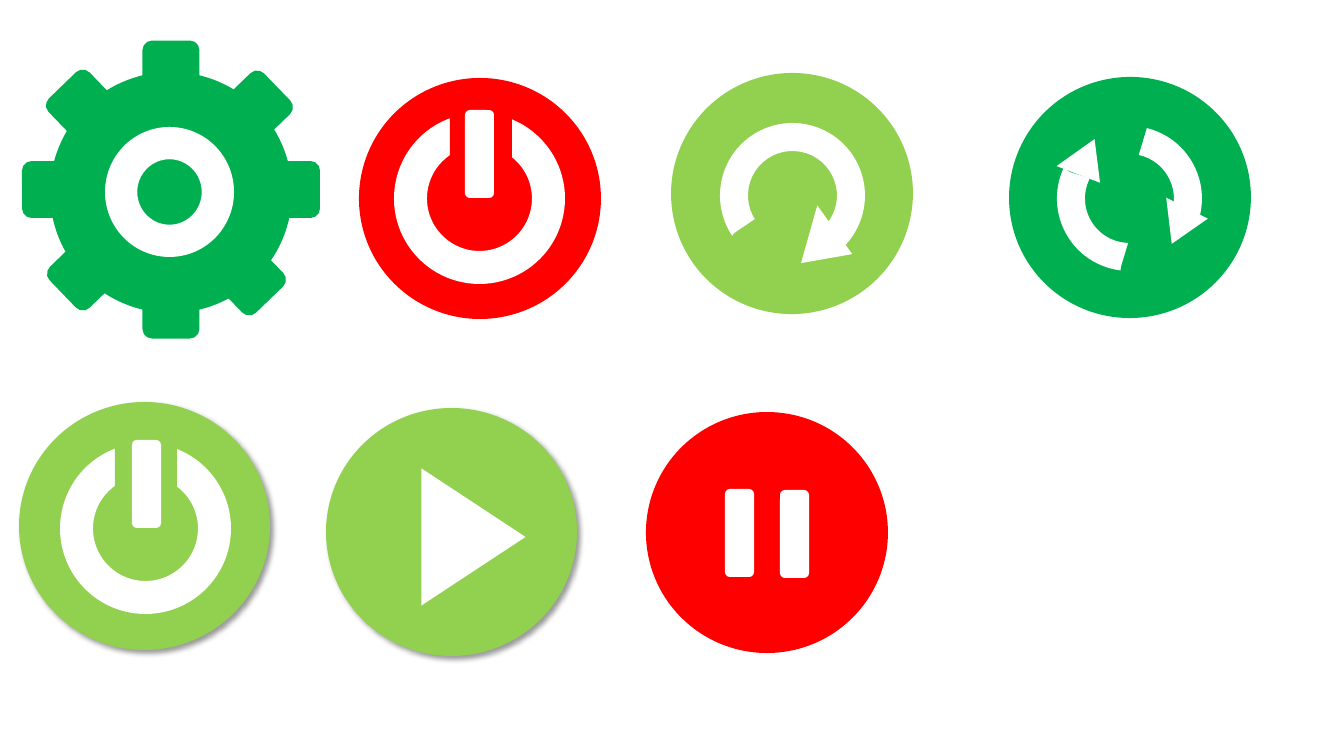
from lxml.etree import SubElement
from pptx import Presentation
from pptx.dml.color import RGBColor
from pptx.enum.shapes import MSO_SHAPE
from pptx.oxml.ns import qn
from pptx.util import Emu, Inches, Pt

SCALE = Inches(1) / 100.8
COLORS = {"green": "00B050", "lime": "92D050", "red": "FF0000",
          "white": "FFFFFF", "shadow": "000000"}
DISC, RING = MSO_SHAPE.OVAL, MSO_SHAPE.DONUT
BAR, ARROW = MSO_SHAPE.ROUNDED_RECTANGLE, MSO_SHAPE.FLOWCHART_EXTRACT
RING_WIDTH = 0.193

deck = Presentation()
deck.slide_width, deck.slide_height = Emu(round(1344 * SCALE)), Emu(round(756 * SCALE))
slide = deck.slides.add_slide(deck.slide_layouts[6])


def add_part(kind, color, left, top, width, height, turn=0, ring=None):
    box = [Emu(round(n * SCALE)) for n in (left, top, width, height)]
    part = slide.shapes.add_shape(kind, *box)
    part.fill.solid()
    part.fill.fore_color.rgb = RGBColor.from_string(COLORS[color])
    part.line.fill.background()
    part.shadow.inherit = False
    part.rotation = turn
    if ring:
        part.adjustments[0] = ring
    return part


def add_shadow(disc):
    effects = disc._element.spPr.find(qn("a:effectLst"))
    shadow = SubElement(effects, qn("a:outerShdw"), blurRad=str(Pt(4)), dist=str(Pt(3)),
                        dir=str(45 * 60000), algn="tl", rotWithShape="0")
    black = SubElement(shadow, qn("a:srgbClr"), val=COLORS["shadow"])
    SubElement(black, qn("a:alpha"), val="40000")


# Gear: four crossed bars form the teeth
for left, top, turn in [(22, 161, 180), (22, 161, 270), (21, 162, 316), (17, 164, 226)]:
    add_part(BAR, "green", left, top, 298, 57, turn)
add_part(DISC, "green", 50, 72, 242, 241)
add_part(RING, "white", 105, 127, 129, 130)

# Restart button: ring with a gap and one arrowhead
add_part(DISC, "lime", 671, 73, 242, 241, 341)
add_part(RING, "white", 720, 123, 145, 145, 341, RING_WIDTH)
add_part(BAR, "lime", 739, 213, 83, 78, 236)
add_part(ARROW, "white", 796, 205, 52, 54, 350)

# Power buttons: off in red, on in lime
off_disc = add_part(DISC, "red", 359, 78, 242, 241)
on_disc = add_part(DISC, "lime", 19, 402, 251, 248)
add_shadow(on_disc)
for color, ring_left, ring_top, slot, stem in [
        ("red", 394, 113, (450, 94), (465, 110)),
        ("lime", 60, 443, (115, 430), (132, 440))]:
    add_part(RING, "white", ring_left, ring_top, 171, 171, 341, RING_WIDTH)
    add_part(BAR, color, *slot, 62, 78)
    add_part(BAR, "white", *stem, 29, 88)

# Play button
play_disc = add_part(DISC, "lime", 326, 408, 251, 248)
add_shadow(play_disc)
add_part(ARROW, "white", 405, 485, 137, 104, 90)

# Pause button
add_part(DISC, "red", 646, 412, 242, 241)
for left, top in [(725, 489), (780, 490)]:
    add_part(BAR, "white", left, top, 29, 88)

# Refresh button: ring with two gaps, each with an arrowhead
add_part(DISC, "green", 1009, 77, 242, 241, 341)
add_part(RING, "white", 1057, 126, 145, 145, 341, RING_WIDTH)
for gap, arrow, turn in [((1127, 214, 81), (1156, 194), 325),
                         ((1070, 103, 71), (1055, 143), 262.8)]:
    add_part(BAR, "green", *gap, 78, 196.8)
    add_part(ARROW, "white", *arrow, 44, 41, turn)

deck.save("out.pptx")
